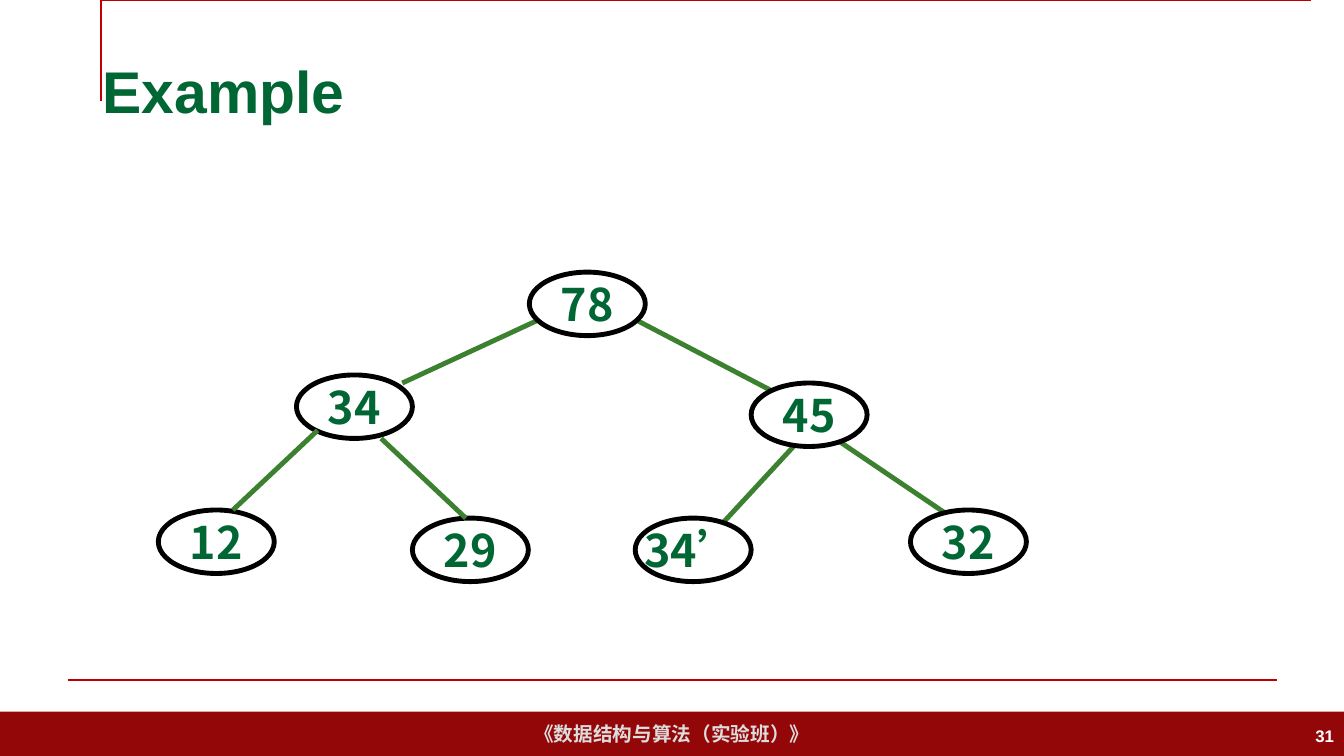
from lxml import etree
from pptx import Presentation
from pptx.dml.color import RGBColor
from pptx.enum.shapes import MSO_CONNECTOR, MSO_SHAPE
from pptx.enum.text import MSO_ANCHOR, PP_ALIGN
from pptx.oxml.ns import qn
from pptx.util import Inches, Pt

WHITE = RGBColor(0xFF, 0xFF, 0xFF)
BLACK = RGBColor(0, 0, 0)
GREEN = RGBColor(0x00, 0x66, 0x33)
EDGE_GREEN = RGBColor(0x3B, 0x81, 0x2F)
RULE_RED = RGBColor(0xC0, 0, 0)
BAR_RED = RGBColor(0x94, 0x07, 0x09)
PALE_GRAY = RGBColor(0xDD, 0xDD, 0xDD)
LATIN, CJK = "Arial", "Noto Sans CJK SC"

TITLE = "Example"
FOOTER = "《数据结构与算法（实验班）》"
PAGE_NUMBER = "31"
NODE_SIZE = (1.15, 0.63)
LEFT_SUBTREE = [("34", 2.94, 3.72), ("12", 1.57, 5.06), ("29", 4.09, 5.14)]
ROOT_AND_RIGHT = [("78", 5.25, 2.7), ("45", 7.45, 3.8), ("34’", 6.3, 5.14), ("32", 9.03, 5.06)]
EDGES = [
    ((5.35, 3.17), (3.99, 3.8)),
    ((3.15, 4.27), (2.31, 5.06)),
    ((3.78, 4.35), (4.62, 5.14)),
    ((6.3, 3.17), (7.66, 3.88)),
    ((7.87, 4.43), (7.14, 5.22)),
    ((8.31, 4.37), (9.36, 5.08)),
]
CORNER = [(0.56, 0.92), (0.56, 0.25), (12.56, 0.25)]
BOTTOM_RULE = ((0.67, 6.75), (12.67, 6.75))

deck = Presentation()
deck.slide_width, deck.slide_height = Inches(13.33), Inches(7.5)
page = deck.slides.add_slide(deck.slide_layouts[6])


def write(box, text, size, color, font=LATIN, align=PP_ALIGN.LEFT, wrap=True):
    frame = box.text_frame
    frame.word_wrap = wrap
    frame.vertical_anchor = MSO_ANCHOR.MIDDLE
    para = frame.paragraphs[0]
    para.alignment = align
    span = para.add_run()
    span.text = text
    span.font.name, span.font.size, span.font.bold = font, Pt(size), True
    span.font.color.rgb = color
    east_asian = etree.SubElement(span.font._element, qn("a:ea"))
    east_asian.set("typeface", CJK)


def add_text(left, top, width, height, *style, **options):
    box = page.shapes.add_textbox(Inches(left), Inches(top), Inches(width), Inches(height))
    write(box, *style, **options)


def add_line(start, end, color, weight):
    line = page.shapes.add_connector(MSO_CONNECTOR.STRAIGHT, *map(Inches, start + end))
    line.line.color.rgb, line.line.width = color, Pt(weight)
    etree.SubElement(line._element.spPr, qn("a:effectLst"))


def add_node(label, left, top, filled):
    node = page.shapes.add_shape(MSO_SHAPE.OVAL, *map(Inches, (left, top) + NODE_SIZE))
    node.shadow.inherit = False
    if filled:
        node.fill.solid()
        node.fill.fore_color.rgb = WHITE
    else:
        node.fill.background()
    node.line.color.rgb, node.line.width = BLACK, Pt(3.5)
    frame = node.text_frame
    frame.margin_left = frame.margin_right = Inches(0.13)
    frame.margin_top = frame.margin_bottom = Inches(0.07)
    write(node, label, 32, GREEN, CJK, PP_ALIGN.CENTER, wrap=False)


bar = page.shapes.add_shape(MSO_SHAPE.RECTANGLE, 0, Inches(7.06), deck.slide_width, Inches(0.44))
bar.shadow.inherit = False
bar.fill.solid()
bar.fill.fore_color.rgb = BAR_RED
bar.line.fill.background()
write(bar, FOOTER, 14, PALE_GRAY, align=PP_ALIGN.CENTER, wrap=False)

builder = page.shapes.build_freeform(*CORNER[0], scale=Inches(1))
builder.add_line_segments(CORNER[1:], close=False)
corner = builder.convert_to_shape()
corner.shadow.inherit = False
corner.fill.background()
corner.line.color.rgb, corner.line.width = RULE_RED, Pt(1.5)
add_line(*BOTTOM_RULE, RULE_RED, 1.5)

add_text(0.92, 0.4, 11.5, 0.99, TITLE, 42, GREEN)
add_text(10.33, 7.1, 3, 0.4, PAGE_NUMBER, 12, WHITE, align=PP_ALIGN.RIGHT)

for node in LEFT_SUBTREE:
    add_node(*node, filled=False)
for start, end in EDGES:
    add_line(start, end, EDGE_GREEN, 3.5)
for node in ROOT_AND_RIGHT:
    add_node(*node, filled=True)

deck.save("out.pptx")
